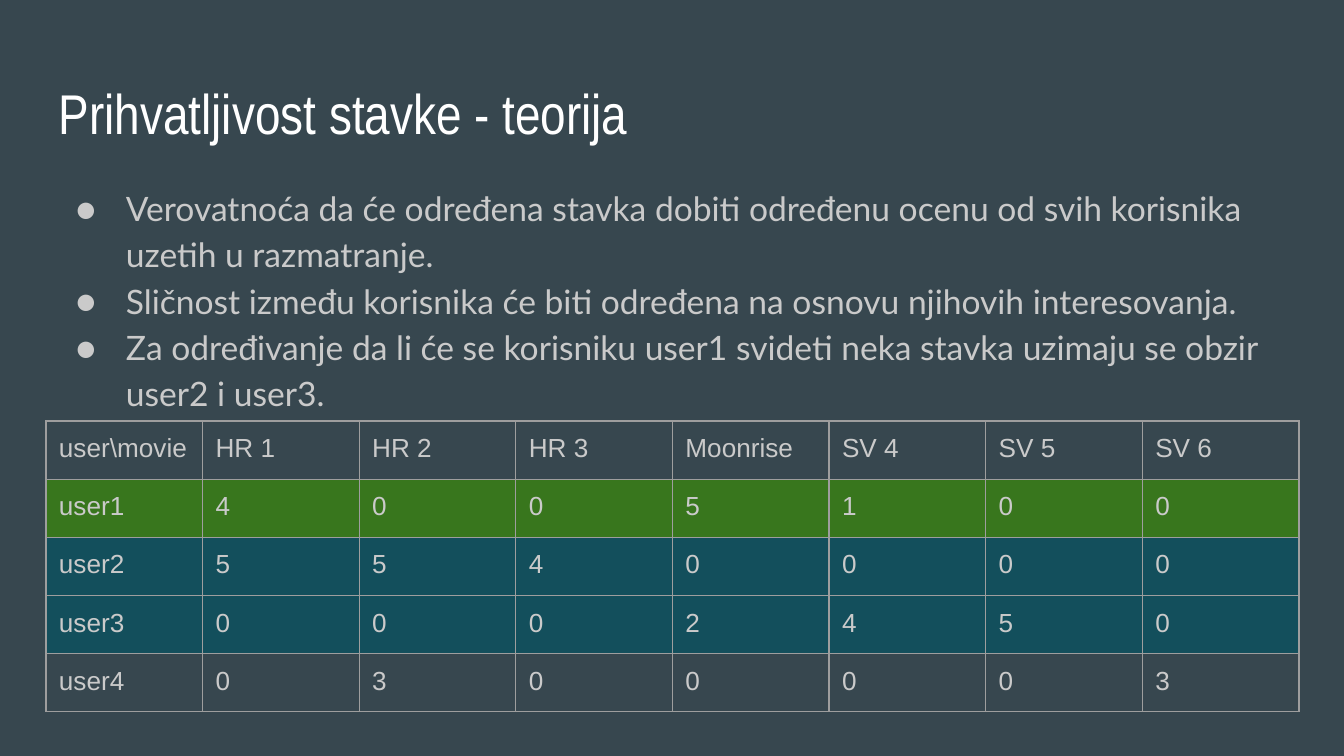
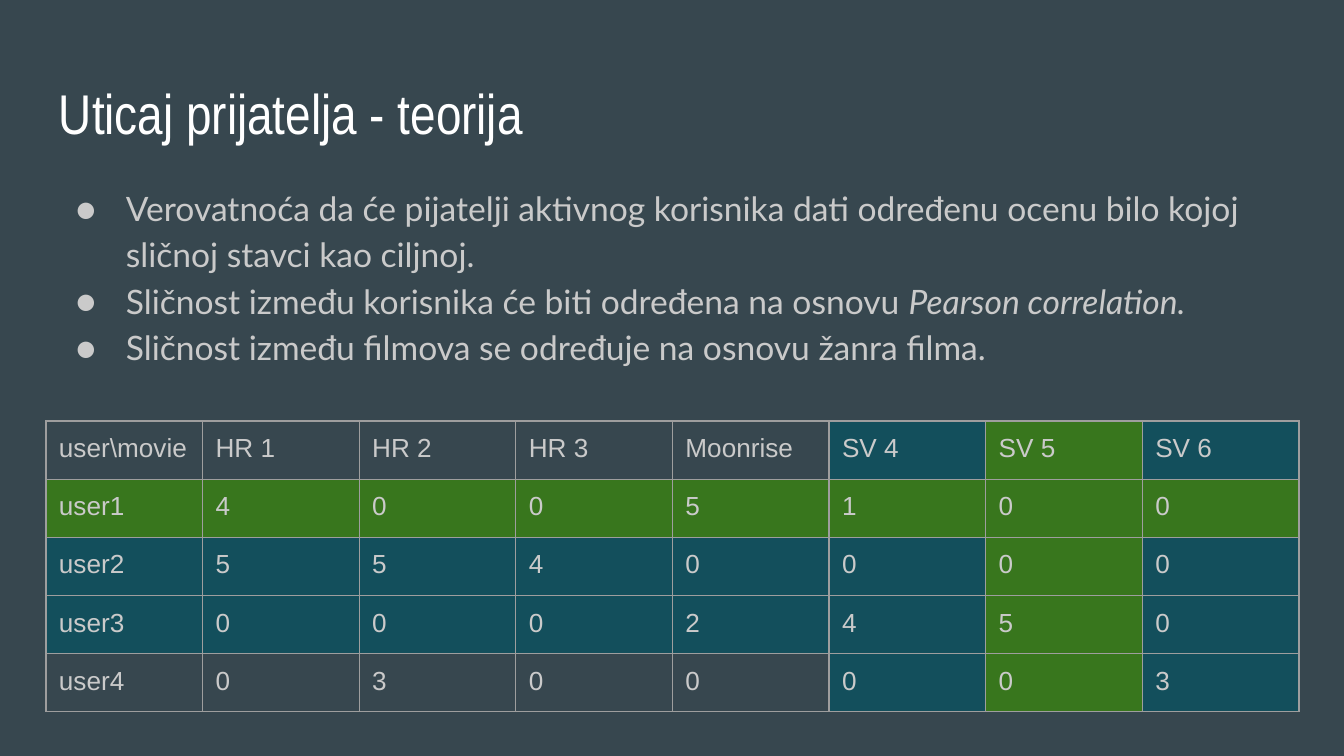
from lxml import etree
from pptx import Presentation
from pptx.dml.color import RGBColor
from pptx.enum.text import MSO_ANCHOR
from pptx.oxml.ns import qn
from pptx.util import Pt

TOP = MSO_ANCHOR.TOP
EMU_PER_PX = 914400 / 134.4
PAD = 13
LEFT, WIDTH = 46, 1253
COLORS = {
    "background": "37474F",
    "title": "FFFFFF",
    "text": "CACACA",
    "border": "9E9E9E",
    "active": "38761D",
    "similar": "134F5C",
}
TITLE = {"name": "Arial Narrow", "size": Pt(30), "color": "title"}
BODY = {"name": "Lato", "size": Pt(18), "color": "text"}
CELL = {"name": "Arial", "size": Pt(14), "color": "text"}
RATINGS = [
    ["user\\movie", "HR 1", "HR 2", "HR 3", "Moonrise", "SV 4", "SV 5", "SV 6"],
    ["user1", "4", "0", "0", "5", "1", "0", "0"],
    ["user2", "5", "5", "4", "0", "0", "0", "0"],
    ["user3", "0", "0", "0", "2", "4", "5", "0"],
    ["user4", "0", "3", "0", "0", "0", "0", "3"],
]
ROW_FILLS = {1: "active", 2: "similar", 3: "similar"}
MOVIE_FILLS = {5: "similar", 6: "active", 7: "similar"}


def px(n):
    return round(n * EMU_PER_PX)


def rgb(key):
    return RGBColor.from_string(COLORS[key])


def add_run(p, text, style, **extra):
    r = p.add_run()
    r.text = text
    for key, value in {**style, **extra}.items():
        if key == "color":
            r.font.color.rgb = rgb(value)
        else:
            setattr(r.font, key, value)


def set_margins(target):
    for side in ("left", "top", "right", "bottom"):
        setattr(target, f"margin_{side}", px(PAD))


def add_text_frame(s, top, height):
    tf = s.shapes.add_textbox(px(LEFT), px(top), px(WIDTH), px(height)).text_frame
    tf.word_wrap = True
    tf.vertical_anchor = TOP
    set_margins(tf)
    return tf


def add_title(s, text):
    add_run(add_text_frame(s, 66, 85).paragraphs[0], text, TITLE)


def set_bullet(p):
    pPr = p._p.get_or_add_pPr()
    pPr.set("marL", str(px(67)))
    pPr.set("indent", str(-px(50)))
    color = etree.SubElement(pPr, qn("a:buClr"))
    etree.SubElement(color, qn("a:srgbClr"), val=COLORS["text"])
    etree.SubElement(pPr, qn("a:buFont"), typeface=BODY["name"])
    etree.SubElement(pPr, qn("a:buChar"), char="●")


def add_bullets(s, items):
    tf = add_text_frame(s, 169, 503)
    for i, (text, emphasis) in enumerate(items):
        p = tf.add_paragraph() if i else tf.paragraphs[0]
        p.line_spacing = 1.15
        set_bullet(p)
        add_run(p, text, BODY)
        if emphasis:
            add_run(p, emphasis, BODY, italic=True)


def set_borders(cell):
    tcPr = cell._tc.get_or_add_tcPr()
    for i, side in enumerate(("lnL", "lnR", "lnT", "lnB")):
        ln = etree.Element(qn(f"a:{side}"), w=str(Pt(0.75)))
        fill = etree.SubElement(ln, qn("a:solidFill"))
        etree.SubElement(fill, qn("a:srgbClr"), val=COLORS["border"])
        tcPr.insert(i, ln)


def add_ratings(s, fill_of):
    rows, cols = len(RATINGS), len(RATINGS[0])
    table = s.shapes.add_table(
        rows, cols, px(LEFT), px(421), px(WIDTH), px(291)).table
    table.first_row = table.horz_banding = False
    for row, values in enumerate(RATINGS):
        for col, value in enumerate(values):
            cell = table.cell(row, col)
            set_margins(cell)
            add_run(cell.text_frame.paragraphs[0], value, CELL)
            key = fill_of(row, col)
            if key:
                cell.fill.solid()
                cell.fill.fore_color.rgb = rgb(key)
            else:
                cell.fill.background()
            set_borders(cell)


def user_fill(row, col):
    return ROW_FILLS.get(row)


def user_and_movie_fill(row, col):
    if row == 1 or MOVIE_FILLS.get(col) is None:
        return user_fill(row, col)
    return MOVIE_FILLS[col]


def add_theory_slide(prs, title, items, fill_of):
    s = prs.slides.add_slide(prs.slide_layouts[6])
    s.background.fill.solid()
    s.background.fill.fore_color.rgb = rgb("background")
    add_title(s, title)
    add_bullets(s, items)
    add_ratings(s, fill_of)


def main():
    prs = Presentation()
    prs.slide_width, prs.slide_height = px(1344), px(756)
    add_theory_slide(prs, "Prihvatljivost stavke - teorija", [
        ("Verovatnoća da će određena stavka dobiti određenu ocenu od svih "
         "korisnika uzetih u razmatranje.", ""),
        ("Sličnost između korisnika će biti određena na osnovu njihovih "
         "interesovanja.", ""),
        ("Za određivanje da li će se korisniku user1 svideti neka stavka "
         "uzimaju se obzir user2 i user3.", ""),
    ], user_fill)
    add_theory_slide(prs, "Uticaj prijatelja - teorija", [
        ("Verovatnoća da će pijatelji aktivnog korisnika dati određenu ocenu "
         "bilo kojoj sličnoj stavci kao ciljnoj.", ""),
        ("Sličnost između korisnika će biti određena na osnovu ",
         "Pearson correlation."),
        ("Sličnost između filmova se određuje na osnovu žanra filma.", ""),
    ], user_and_movie_fill)
    prs.save("out.pptx")


if __name__ == "__main__":
    main()
